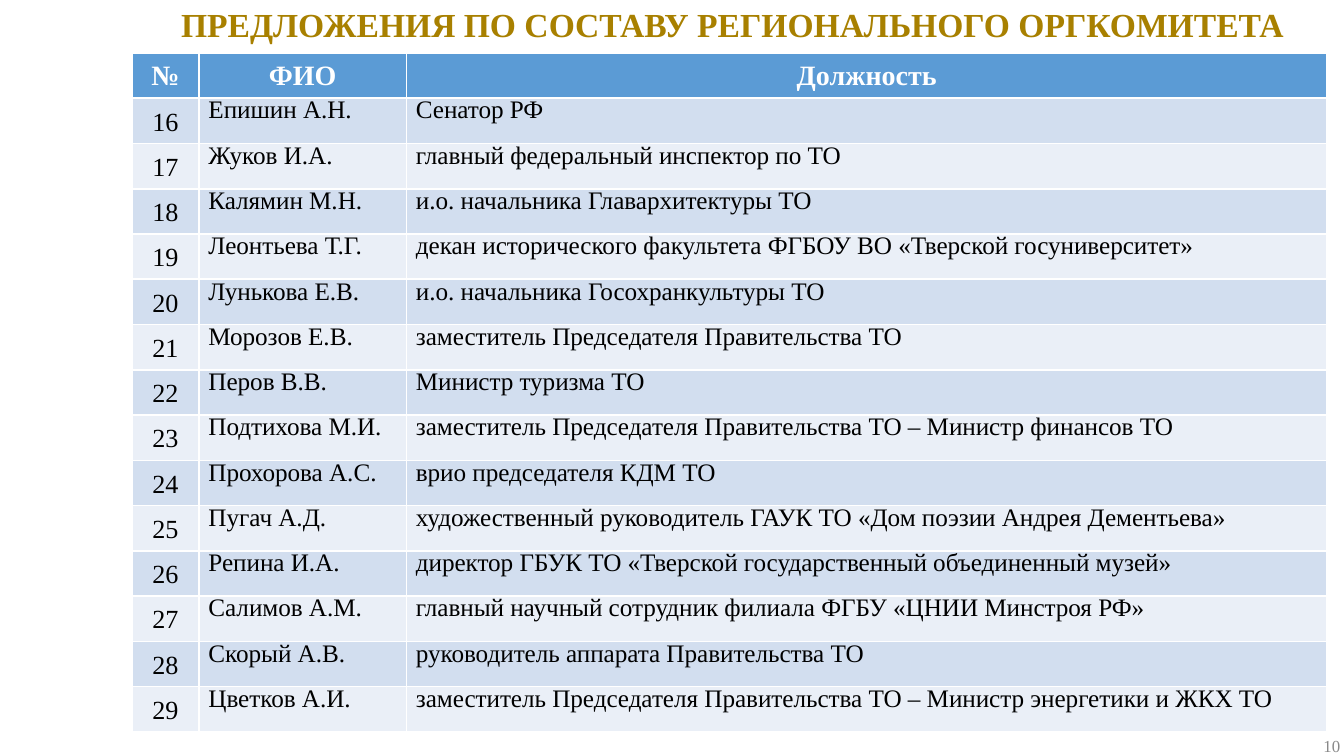
from pptx import Presentation
from pptx.dml.color import RGBColor
from pptx.enum.text import MSO_ANCHOR, PP_ALIGN
from pptx.util import Cm, Pt

TITLE = "ПРЕДЛОЖЕНИЯ ПО СОСТАВУ РЕГИОНАЛЬНОГО ОРГКОМИТЕТА"
PAGE_NUMBER = "10"
HEADERS = ("№", "ФИО", "Должность")
FIRST_NUMBER = 16
MEMBERS = [
    ("Епишин А.Н.", "Сенатор РФ"),
    ("Жуков И.А.", "главный федеральный инспектор по ТО"),
    ("Калямин М.Н.", "и.о. начальника Главархитектуры ТО"),
    ("Леонтьева Т.Г.", "декан исторического факультета ФГБОУ ВО «Тверской госуниверситет»"),
    ("Лунькова Е.В.", "и.о. начальника Госохранкультуры ТО"),
    ("Морозов Е.В.", "заместитель Председателя Правительства ТО"),
    ("Перов В.В.", "Министр туризма ТО"),
    ("Подтихова М.И.", "заместитель Председателя Правительства ТО – Министр финансов ТО"),
    ("Прохорова А.С.", "врио председателя КДМ ТО"),
    ("Пугач А.Д.", "художественный руководитель ГАУК ТО «Дом поэзии Андрея Дементьева»"),
    ("Репина И.А.", "директор ГБУК ТО «Тверской государственный объединенный музей»"),
    ("Салимов А.М.", "главный научный сотрудник филиала ФГБУ «ЦНИИ Минстроя РФ»"),
    ("Скорый А.В.", "руководитель аппарата Правительства ТО"),
    ("Цветков А.И.", "заместитель Председателя Правительства ТО – Министр энергетики и ЖКХ ТО"),
]

FONT = "Times New Roman"
GOLD = RGBColor(0xA8, 0x80, 0x00)
GREY = RGBColor(0x89, 0x89, 0x89)
WHITE = RGBColor(0xFF, 0xFF, 0xFF)
BLACK = RGBColor(0x00, 0x00, 0x00)
HEADER_BLUE = RGBColor(0x5B, 0x9B, 0xD5)
BANDS = (RGBColor(0xD2, 0xDE, 0xEF), RGBColor(0xEA, 0xEF, 0xF7))

COLUMN_WIDTHS = (Cm(1.27), Cm(3.92), Cm(17.4))
ROW_HEIGHT = Cm(0.85)


def write(frame, text, size, color, align, bold=False):
    frame.text = text
    para = frame.paragraphs[0]
    para.alignment = align
    for span in para.runs:
        span.font.name = FONT
        span.font.size = Pt(size)
        span.font.bold = bold
        span.font.color.rgb = color
    return para


def fill_cell(cell, text, fill, size, color, align, spacing, bold=False):
    cell.fill.solid()
    cell.fill.fore_color.rgb = fill
    para = write(cell.text_frame, text, size, color, align, bold)
    para.line_spacing = Pt(spacing)


def add_members_table(page):
    frame = page.shapes.add_table(
        len(MEMBERS) + 1, len(HEADERS), Cm(2.49), Cm(1),
        sum(COLUMN_WIDTHS), ROW_HEIGHT * (len(MEMBERS) + 1))
    table = frame.table
    for column, width in zip(table.columns, COLUMN_WIDTHS):
        column.width = width
    for index, header in enumerate(HEADERS):
        fill_cell(table.cell(0, index), header, HEADER_BLUE, 15, WHITE,
                  PP_ALIGN.CENTER, 17, bold=True)
    for row, member in enumerate(MEMBERS, start=1):
        band = BANDS[(row - 1) % 2]
        number = str(FIRST_NUMBER + row - 1)
        fill_cell(table.cell(row, 0), number, band, 14, BLACK, PP_ALIGN.CENTER, 17)
        for index, text in enumerate(member, start=1):
            cell = table.cell(row, index)
            fill_cell(cell, text, band, 13.5, BLACK, PP_ALIGN.LEFT, 14)
            cell.margin_left = cell.margin_right = Cm(0.18)
            cell.margin_top = cell.margin_bottom = 0


def main():
    deck = Presentation()
    deck.slide_width, deck.slide_height = Cm(25.4), Cm(14.28)
    page = deck.slides.add_slide(deck.slide_layouts[5])

    title = page.shapes.title
    title.left, title.top, title.width, title.height = Cm(2.18), Cm(-0.05), Cm(23.34), Cm(1.52)
    title.text_frame.vertical_anchor = MSO_ANCHOR.TOP
    write(title.text_frame, TITLE, 18, GOLD, PP_ALIGN.CENTER, bold=True)

    number_box = page.shapes.add_textbox(Cm(24.49), Cm(13.59), Cm(1.09), Cm(0.99))
    number_box.text_frame.word_wrap = True
    number_box.text_frame.vertical_anchor = MSO_ANCHOR.MIDDLE
    write(number_box.text_frame, PAGE_NUMBER, 9, GREY, PP_ALIGN.RIGHT)

    add_members_table(page)
    deck.save("out.pptx")


if __name__ == "__main__":
    main()
